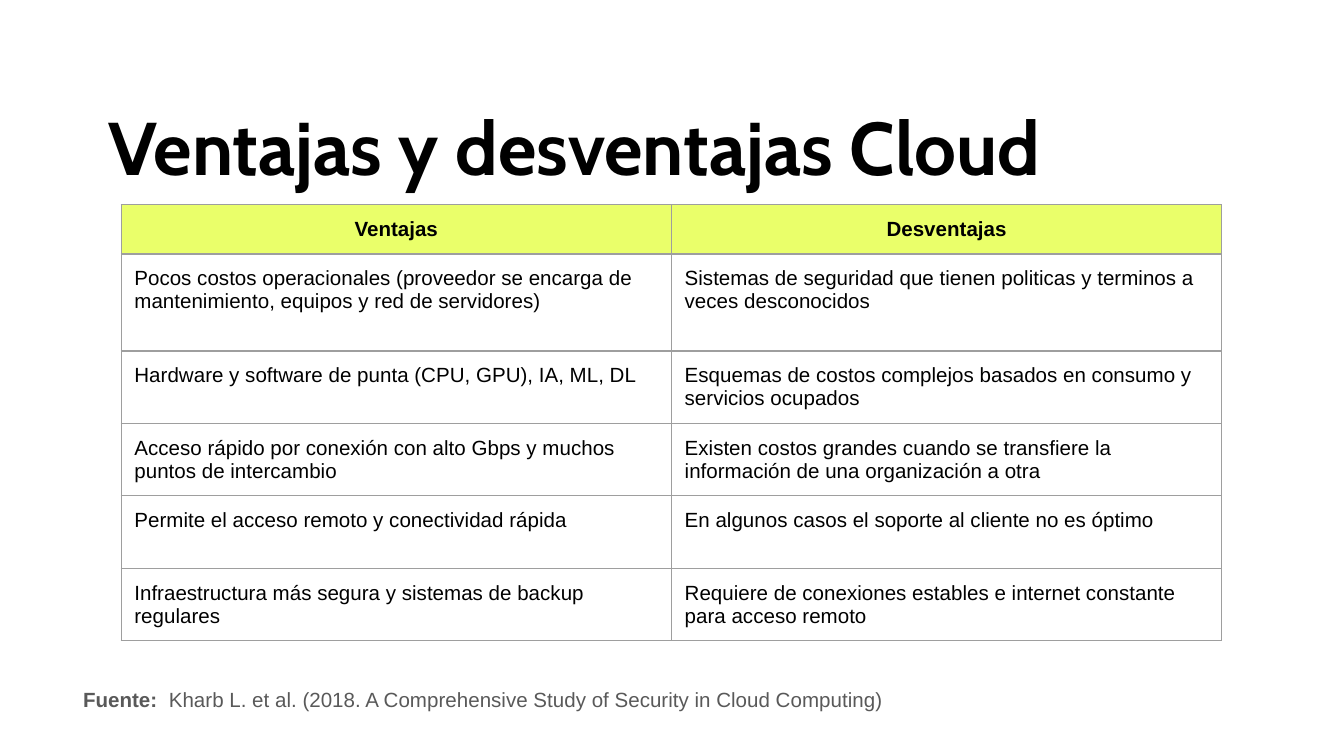
from lxml import etree
from pptx import Presentation
from pptx.dml.color import RGBColor
from pptx.enum.text import MSO_ANCHOR, MSO_AUTO_SIZE, PP_ALIGN
from pptx.oxml.ns import qn
from pptx.util import Cm, Pt

BLACK = RGBColor(0x00, 0x00, 0x00)
GRAY = RGBColor(0x59, 0x59, 0x59)
LIME = RGBColor(0xEA, 0xFF, 0x6A)
BORDER = RGBColor(0x9E, 0x9E, 0x9E)
LEFT, CENTER = PP_ALIGN.LEFT, PP_ALIGN.CENTER
TOP = MSO_ANCHOR.TOP
NO_FIT = MSO_AUTO_SIZE.NONE
GROW = MSO_AUTO_SIZE.SHAPE_TO_FIT_TEXT

INSET = Cm(0.25)
TITLE_FONT = {"name": "Cabin", "size": Pt(40), "bold": True}
HEAD_FONT = {"name": "Arial", "size": Pt(11), "bold": True}
BODY_FONT = {**HEAD_FONT, "bold": False}

ROWS = [
    ("Ventajas", "Desventajas"),
    ("Pocos costos operacionales (proveedor se encarga de mantenimiento, "
     "equipos y red de servidores)",
     "Sistemas de seguridad que tienen politicas y terminos a veces "
     "desconocidos"),
    ("Hardware y software de punta (CPU, GPU), IA, ML, DL",
     "Esquemas de costos complejos basados en consumo y servicios ocupados"),
    ("Acceso rápido por conexión con alto Gbps y muchos puntos de intercambio",
     "Existen costos grandes cuando se transfiere la información de una "
     "organización a otra"),
    ("Permite el acceso remoto y conectividad rápida",
     "En algunos casos el soporte al cliente no es óptimo"),
    ("Infraestructura más segura y sistemas de backup regulares",
     "Requiere de conexiones estables e internet constante para acceso remoto"),
]
ROW_HEIGHTS = [Cm(0.93), Cm(1.83)] + [Cm(1.37)] * 4
COL_WIDTH = Cm(10.4)


def set_margins(obj):
    for side in ("left", "right", "top", "bottom"):
        setattr(obj, f"margin_{side}", INSET)


def add_run(p, text, font, color):
    r = p.add_run()
    r.text = text
    for name, value in font.items():
        setattr(r.font, name, value)
    r.font.color.rgb = color


def format_frame(tf, auto_size):
    set_margins(tf)
    tf.word_wrap = True
    tf.auto_size = auto_size
    tf.vertical_anchor = TOP


def set_borders(cell):
    tc_pr = cell._tc.get_or_add_tcPr()
    for tag in ("a:lnL", "a:lnR", "a:lnT", "a:lnB"):
        ln = etree.SubElement(tc_pr, qn(tag), w=str(Pt(0.75)))
        fill = etree.SubElement(ln, qn("a:solidFill"))
        etree.SubElement(fill, qn("a:srgbClr"), val=str(BORDER))


def add_title(s):
    sp = s.shapes.title
    sp.left, sp.top, sp.width, sp.height = Cm(1.8), Cm(1.4), Cm(21.8), Cm(1.93)
    format_frame(sp.text_frame, NO_FIT)
    p = sp.text_frame.paragraphs[0]
    p.alignment = LEFT
    p.line_spacing = 1.15
    add_run(p, "Ventajas y desventajas Cloud", TITLE_FONT, BLACK)


def fill_cell(cell, text, is_head):
    set_margins(cell)
    set_borders(cell)
    if is_head:
        cell.fill.solid()
        cell.fill.fore_color.rgb = LIME
    else:
        cell.fill.background()
    p = cell.text_frame.paragraphs[0]
    p.alignment = CENTER if is_head else LEFT
    add_run(p, text, HEAD_FONT if is_head else BODY_FONT, BLACK)


def add_comparison(s):
    n_cols = len(ROWS[0])
    table = s.shapes.add_table(len(ROWS), n_cols, Cm(2.29), Cm(3.87),
                               COL_WIDTH * n_cols, sum(ROW_HEIGHTS)).table
    table.horz_banding = False
    for col in table.columns:
        col.width = COL_WIDTH
    for i, (height, texts) in enumerate(zip(ROW_HEIGHTS, ROWS)):
        table.rows[i].height = height
        for j, text in enumerate(texts):
            fill_cell(table.cell(i, j), text, i == 0)


def add_source(s):
    sp = s.shapes.add_textbox(Cm(1.32), Cm(12.75), Cm(15.82), Cm(0.99))
    format_frame(sp.text_frame, GROW)
    p = sp.text_frame.paragraphs[0]
    add_run(p, "Fuente: ", HEAD_FONT, GRAY)
    add_run(p, " Kharb L. et al. (2018. A Comprehensive Study of Security in "
               "Cloud Computing)", BODY_FONT, GRAY)


def main():
    prs = Presentation()
    prs.slide_width, prs.slide_height = Cm(25.4), Cm(14.29)
    s = prs.slides.add_slide(prs.slide_layouts[5])  # title only

    # Heading, comparison table and citation
    add_title(s)
    add_comparison(s)
    add_source(s)

    prs.save("out.pptx")


if __name__ == "__main__":
    main()
